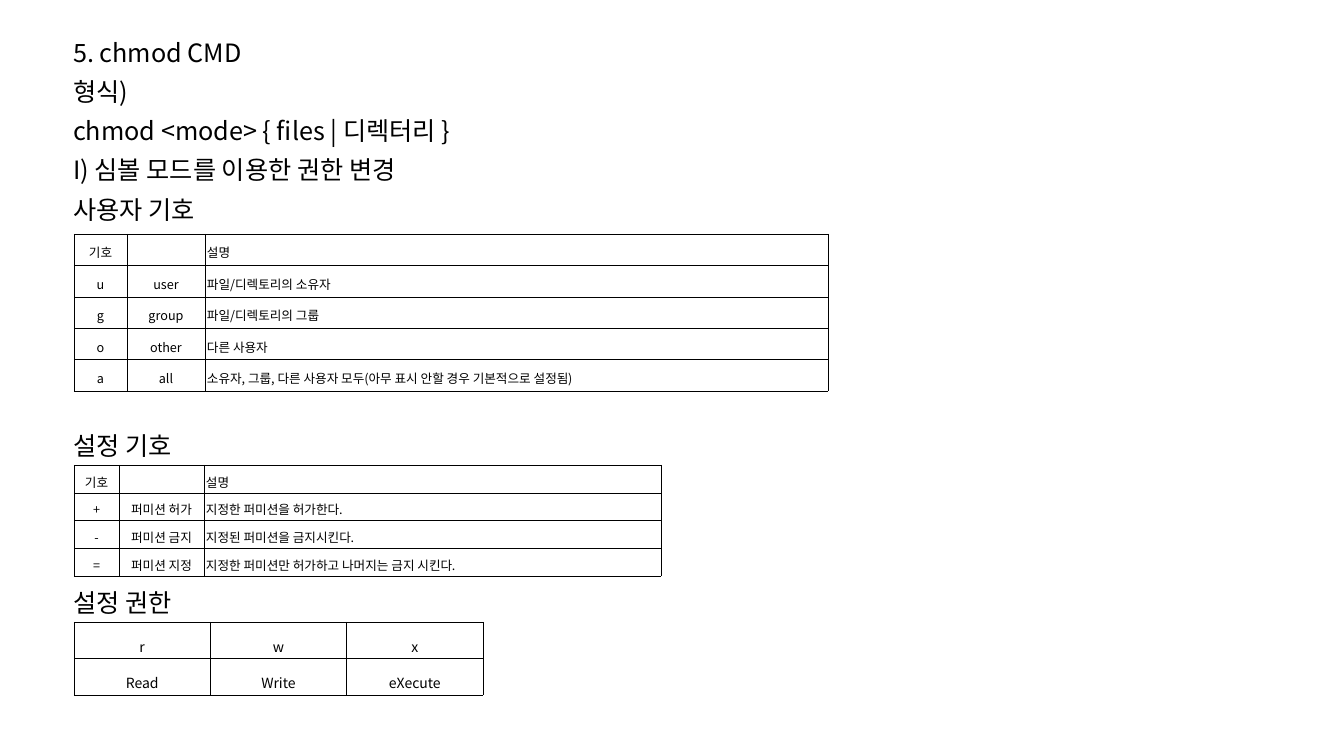
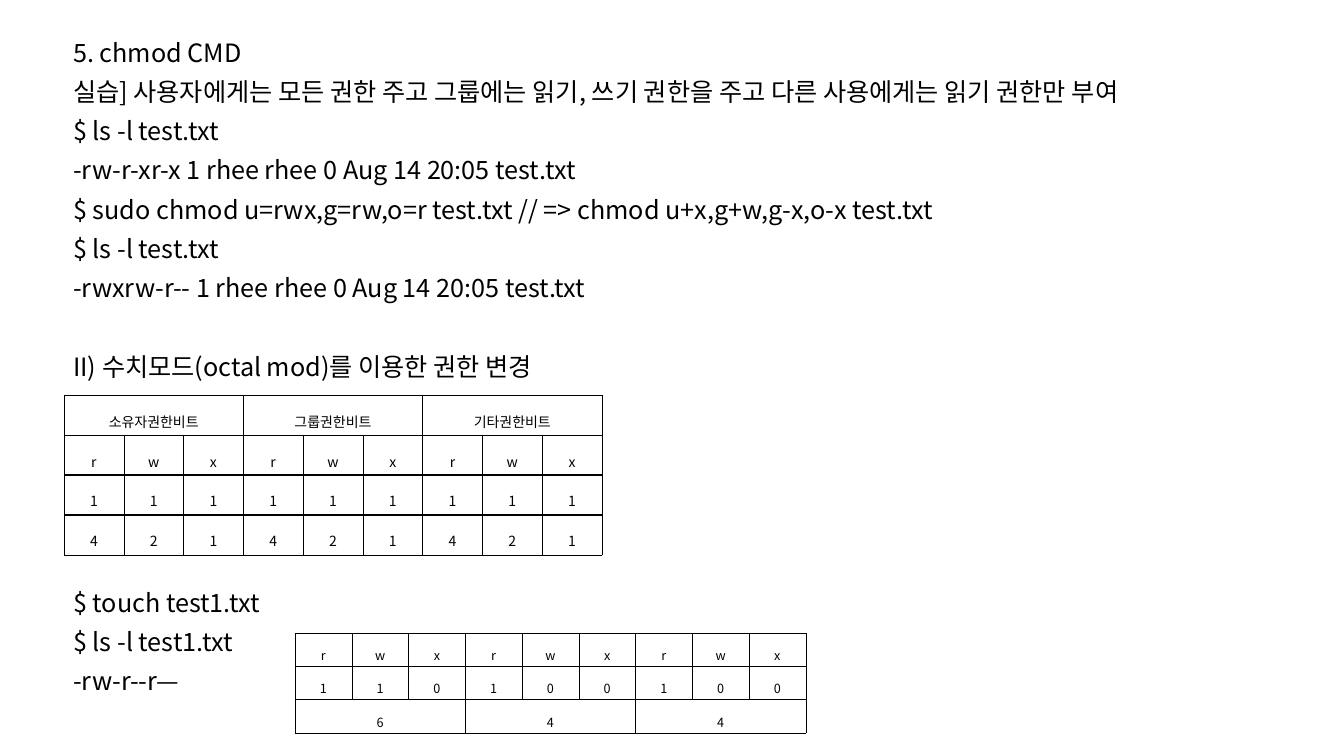
from dataclasses import dataclass
from typing import NamedTuple

from lxml.etree import SubElement
from pptx import Presentation
from pptx.dml.color import RGBColor
from pptx.enum.text import MSO_ANCHOR, MSO_AUTO_SIZE, PP_ALIGN
from pptx.oxml import parse_xml
from pptx.oxml.ns import nsdecls, qn
from pptx.util import Emu, Pt

WIDE, HIGH = 1344, 756
SCALE = 12192000 / WIDE
FONT = "Noto Sans CJK KR"
INK = "000000"
SIZE = 18
LEAD = 1.3
PITCH = 28.1
THIN, THICK = 0.28, 1.98


class Line(NamedTuple):
    text: str
    gap: int = 0


@dataclass
class Grid:
    left: int
    top: int
    width: int
    height: int
    cols: tuple[int, ...]
    rows: list[list[str]]
    size: int = 9
    lead: float = 1.6
    pad: int = 2
    prose: int = -1
    heavy: tuple[int, ...] = ()


@dataclass
class Page:
    title: str
    lines: list[Line]
    grids: list[Grid]


def px(value: float) -> Emu:
    return Emu(round(value * SCALE))


def color(code: str) -> RGBColor:
    return RGBColor.from_string(code)


def style(para, size: int, lead: float, align: PP_ALIGN, gap: float = 0) -> None:
    para.alignment = align
    para.line_spacing = lead
    para.space_before = Pt(gap)
    para.space_after = Pt(0)
    font = para.font
    font.size = Pt(size)
    font.color.rgb = color(INK)
    font.name = FONT
    font._rPr.set("kern", "0")
    SubElement(font._rPr, qn("a:ea"), typeface=FONT)
    if not para.runs:
        SubElement(para._p, qn("a:endParaRPr"), sz=str(size * 100))


def write(shape, top: int, height: int, lines: list[Line]) -> None:
    shape.left, shape.top = px(63), px(top)
    shape.width, shape.height = px(1237), px(height)
    frame = shape.text_frame
    frame.text = "\n".join(line.text for line in lines)
    frame.word_wrap = True
    frame.auto_size = MSO_AUTO_SIZE.NONE
    frame.vertical_anchor = MSO_ANCHOR.TOP
    for para, line in zip(frame.paragraphs, lines):
        style(para, SIZE, LEAD, PP_ALIGN.JUSTIFY, line.gap * PITCH)


def border(cell, top: float, bottom: float) -> None:
    edges = {"L": THIN, "R": THIN, "T": top, "B": bottom}
    props = cell._tc.get_or_add_tcPr()
    for spot, (side, width) in enumerate(edges.items()):
        props.insert(spot, parse_xml(
            f'<a:ln{side} {nsdecls("a")} w="{Pt(width)}"><a:solidFill>'
            f'<a:srgbClr val="{INK}"/></a:solidFill></a:ln{side}>'))


def draw(slide, grid: Grid) -> None:
    count, wide = len(grid.rows), len(grid.cols)
    frame = slide.shapes.add_table(
        count, wide, px(grid.left), px(grid.top), px(grid.width), px(grid.height))
    table = frame.table
    table.first_row = table.horz_banding = False
    for col, share in zip(table.columns, grid.cols):
        col.width = px(grid.width * share / sum(grid.cols))
    for r, texts in enumerate(grid.rows):
        table.rows[r].height = px(grid.height / count)
        span = wide // len(texts)
        for c in range(wide):
            cell = table.cell(r, c)
            if c % span == 0:
                cell.text = texts[c // span]
                if span > 1:
                    cell.merge(table.cell(r, c + span - 1))
            cell.fill.background()
            cell.vertical_anchor = MSO_ANCHOR.MIDDLE
            cell.margin_left = cell.margin_right = px(grid.pad)
            cell.margin_top = cell.margin_bottom = px(2)
            align = PP_ALIGN.JUSTIFY if c == grid.prose else PP_ALIGN.CENTER
            style(cell.text_frame.paragraphs[0], grid.size, grid.lead, align)
            border(cell, THICK if r - 1 in grid.heavy else THIN,
                   THICK if r in grid.heavy else THIN)


def build(deck, page: Page) -> None:
    slide = deck.slides.add_slide(deck.slide_layouts[0])
    title, body = slide.placeholders
    write(title, 23, 50, [Line(page.title)])
    write(body, 62, 675, page.lines)
    for grid in page.grids:
        draw(slide, grid)


TITLE = "5. chmod CMD"
BITS = list("rwx" * 3)
NINE = (1,) * 9

PAGES = [
    Page(
        TITLE,
        [
            Line("형식)"),
            Line("chmod <mode> { files | 디렉터리 }"),
            Line("I) 심볼 모드를 이용한 권한 변경"),
            Line("사용자 기호"),
            Line("설정 기호", 5),
            Line("설정 권한", 3),
        ],
        [
            Grid(74, 234, 754, 157, (53, 78, 623), [
                ["기호", "", "설명"],
                ["u", "user", "파일/디렉토리의 소유자"],
                ["g", "group", "파일/디렉토리의 그룹"],
                ["o", "other", "다른 사용자"],
                ["a", "all", "소유자, 그룹, 다른 사용자 모두(아무 표시 안할 경우 기본적으로 설정됨)"],
            ], lead=1.3, prose=2),
            Grid(74, 465, 587, 111, (45, 85, 457), [
                ["기호", "", "설명"],
                ["+", "퍼미션 허가", "지정한 퍼미션을 허가한다."],
                ["-", "퍼미션 금지", "지정된 퍼미션을 금지시킨다."],
                ["=", "퍼미션 지정", "지정한 퍼미션만 허가하고 나머지는 금지 시킨다."],
            ], lead=1.3, prose=2),
            Grid(74, 622, 409, 73, (1, 1, 1), [
                ["r", "w", "x"],
                ["Read", "Write", "eXecute"],
            ], size=10, pad=7),
        ],
    ),
    Page(
        TITLE,
        [
            Line("실습] 사용자에게는 모든 권한 주고 그룹에는 읽기, 쓰기 권한을 주고 다른 사용에게는 읽기 권한만 부여"),
            Line("$ ls -l test.txt"),
            Line("-rw-r-xr-x 1 rhee rhee 0 Aug 14 20:05 test.txt"),
            Line("$ sudo chmod u=rwx,g=rw,o=r test.txt // => chmod u+x,g+w,g-x,o-x test.txt"),
            Line("$ ls -l test.txt"),
            Line("-rwxrw-r-- 1 rhee rhee 0 Aug 14 20:05 test.txt"),
            Line("II) 수치모드(octal mod)를 이용한 권한 변경", 1),
            Line("$ touch test1.txt", 5),
            Line("$ ls -l test1.txt"),
            Line("-rw-r--r—"),
        ],
        [
            Grid(64, 395, 538, 160, NINE, [
                ["소유자권한비트", "그룹권한비트", "기타권한비트"],
                BITS,
                list("1" * 9),
                list("421" * 3),
            ], size=10, heavy=(1, 2)),
            Grid(295, 633, 511, 100, NINE, [
                BITS,
                list("110100100"),
                list("644"),
            ], pad=7),
        ],
    ),
]


def main() -> None:
    deck = Presentation()
    deck.slide_width, deck.slide_height = px(WIDE), px(HIGH)
    for page in PAGES:
        build(deck, page)
    deck.save("out.pptx")


if __name__ == "__main__":
    main()
